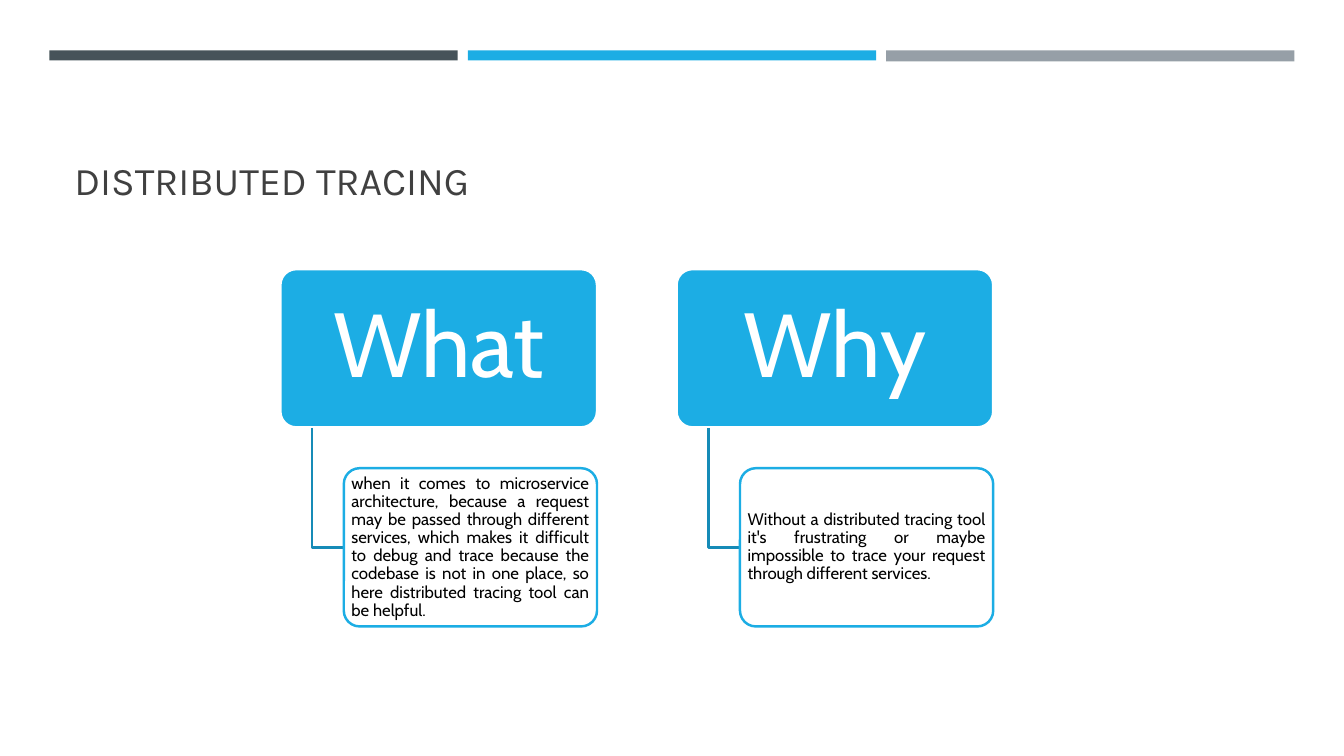
import pptx
import pptx.util
import pptx.dml.color
import pptx.enum.shapes
import pptx.enum.text
import pptx.oxml.ns
import lxml.etree

SHAPE = pptx.enum.shapes.MSO_SHAPE
ALIGN = pptx.enum.text.PP_ALIGN
ANCHOR = pptx.enum.text.MSO_ANCHOR

BLUE, DEEP, WHITE = "1CADE4", "168BB7", "FFFFFF"
BARS = [("465359", 1.33), (BLUE, 1.33), ("969FA7", 1.47)]
TOPICS = [
    ("What", "when it comes to microservice architecture, because a request may be "
     "passed through different services, which makes it difficult to debug and trace "
     "because the codebase is not in one place, so here distributed tracing tool can "
     "be helpful."),
    ("Why", "Without a distributed tracing tool it's frustrating or maybe impossible "
     "to trace your request through different services."),
]


def color(code):
    return pptx.dml.color.RGBColor.from_string(code)


class Canvas:
    def __init__(self, deck):
        self.wide, self.high = deck.slide_width, deck.slide_height
        self.slide = deck.slides.add_slide(deck.slide_layouts[6])
        self.shapes = self.slide.shapes
        self.stroke = pptx.util.Pt(1.75)

    def point(self, x, y):
        return round(self.wide * x / 100), round(self.high * y / 100)

    def frame(self, x, y, w, h):
        return *self.point(x, y), *self.point(w, h)

    def outline(self, shape, code):
        shape.line.color.rgb = color(code)
        shape.line.width = self.stroke

    def label(self, shape, words, font, size, ink, align, anchor, pad=(0.1, 0.05)):
        frame = shape.text_frame
        frame.word_wrap = True
        frame.vertical_anchor = anchor
        side, edge = map(pptx.util.Inches, pad)
        frame.margin_left = frame.margin_right = side
        frame.margin_top = frame.margin_bottom = edge
        line = frame.paragraphs[0]
        line.text = words
        line.alignment = align
        line.line_spacing = 0.9
        line.font.name = font
        line.font.size = pptx.util.Pt(size)
        line.font.color.rgb = color(ink)

    def bar(self, box, fill):
        shape = self.shapes.add_shape(SHAPE.RECTANGLE, *self.frame(*box))
        shape.shadow.inherit = False
        shape.fill.solid()
        shape.fill.fore_color.rgb = color(fill)
        shape.line.fill.background()

    def title(self, box, words):
        shape = self.shapes.add_textbox(*self.frame(*box))
        self.label(shape, words, "Karla", 28, "404040", ALIGN.LEFT, ANCHOR.BOTTOM)

    def card(self, box, fill, edge, words, size, ink, align, pad, alpha=None):
        shape = self.shapes.add_shape(SHAPE.ROUNDED_RECTANGLE, *self.frame(*box))
        shape.adjustments[0] = 0.1
        shape.shadow.inherit = False
        shape.fill.solid()
        shape.fill.fore_color.rgb = color(fill)
        if alpha:
            tone = shape.element.spPr.find(".//" + pptx.oxml.ns.qn("a:srgbClr"))
            lxml.etree.SubElement(tone, pptx.oxml.ns.qn("a:alpha"), val=str(alpha * 1000))
        self.outline(shape, edge)
        self.label(shape, words, "Cabin", size, ink, align, ANCHOR.MIDDLE, pad)

    def elbow(self, left, top, right, low):
        route = self.shapes.build_freeform(*self.point(left, top))
        route.add_line_segments([self.point(left, low), self.point(right, low)], close=False)
        shape = route.convert_to_shape()
        shape.shadow.inherit = False
        shape.fill.background()
        self.outline(shape, DEEP)


def main():
    deck = pptx.Presentation()
    deck.slide_width = pptx.util.Inches(13.33)
    deck.slide_height = pptx.util.Inches(7.5)
    page = Canvas(deck)

    for i, (fill, tall) in enumerate(BARS):
        page.bar((3.68 + 31.13 * i, 6.67, 30.38, tall), fill)
    page.title((4.8, 10.27, 90.47, 17.33), "DISTRIBUTED TRACING")

    for i, (head, body) in enumerate(TOPICS):
        left = 20.86 + 29.48 * i
        inner = left + 4.72
        page.card((left, 35.6, 23.56, 20.93), BLUE, WHITE, head, 65, WHITE,
                  ALIGN.CENTER, (0.14, 0.09))
        page.elbow(left + 2.36, 56.6, inner, 72.4)
        page.card((inner, 61.93, 18.84, 20.93), WHITE, BLUE, body, 12, "000000",
                  ALIGN.JUSTIFY, (0.03, 0.02), alpha=90)

    deck.save("out.pptx")


if __name__ == "__main__":
    main()
